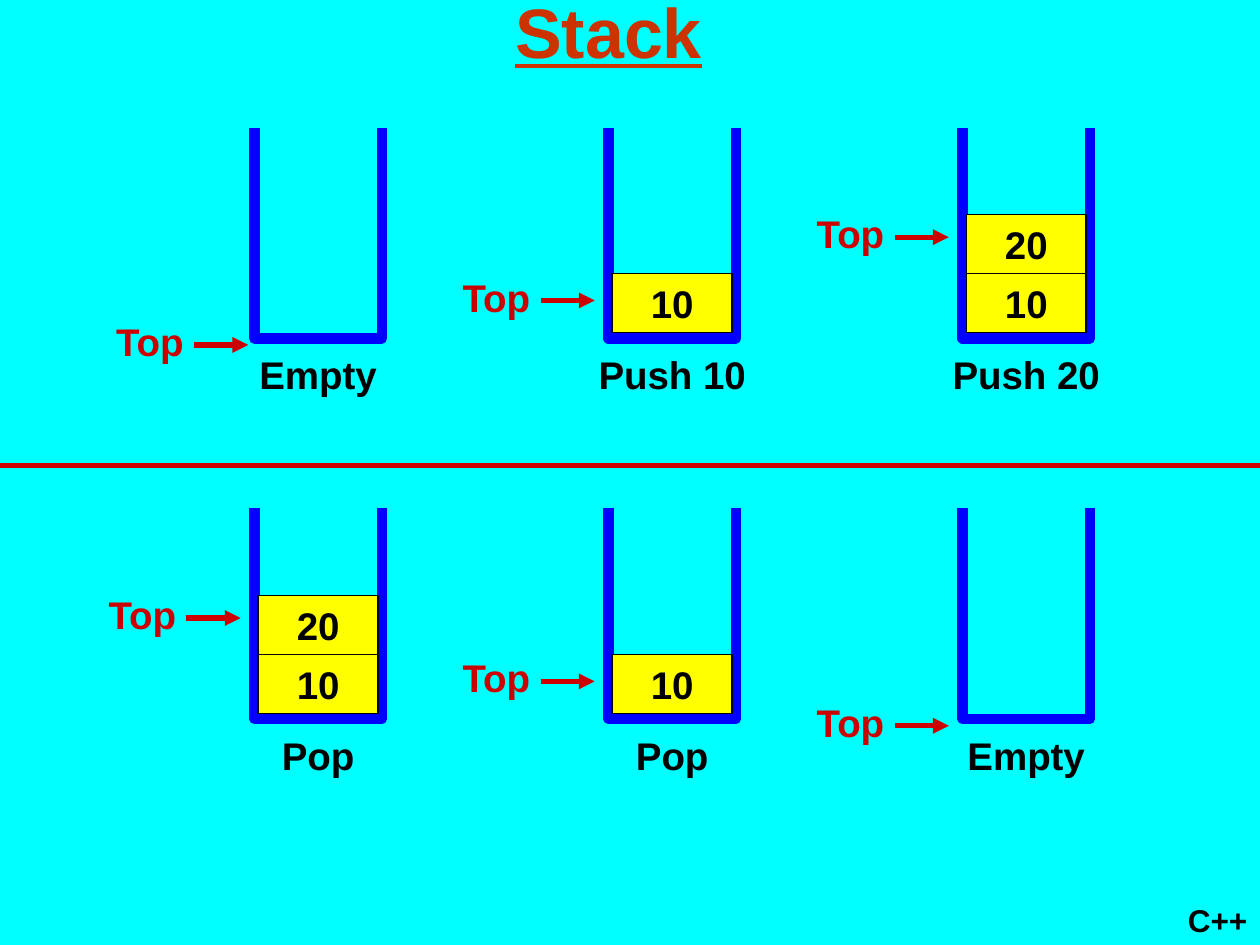
from lxml.etree import SubElement
from pptx import Presentation
from pptx.dml.color import RGBColor
from pptx.enum.shapes import MSO_CONNECTOR, MSO_SHAPE
from pptx.enum.text import MSO_ANCHOR, PP_ALIGN
from pptx.oxml.ns import qn
from pptx.util import Inches, Pt

CYAN = RGBColor(0x00, 0xFF, 0xFF)
BLUE = RGBColor(0x00, 0x00, 0xFF)
RED = RGBColor(0xCC, 0x00, 0x00)
RUST = RGBColor(0xCC, 0x33, 0x00)
YELLOW = RGBColor(0xFF, 0xFF, 0x00)
BLACK = RGBColor(0x00, 0x00, 0x00)

WIDE, HIGH = Inches(10), Inches(7.5)
LEFT, TOP = 0.202 * WIDE, 0.135 * HIGH
COL, ROW = 0.281 * WIDE, 0.403 * HIGH
WALL_W, WALL_H = 0.101 * WIDE, 0.223 * HIGH
ITEM_W, ITEM_H = 0.095 * WIDE, 0.0625 * HIGH
FLOOR = 0.217 * HIGH  # bottom of the lowest item, below the rim
LEVELS = (0.23, 0.183, 0.116)  # pointer below the rim, by number of items
NEAR, FAR = 0.048, 0.054  # pointer start, left of the wall

# column, row, caption, items from the bottom up, pointer gap
STACKS = (
    (0, 0, "Empty", (), NEAR),
    (1, 0, "Push 10", ("10",), FAR),
    (2, 0, "Push 20", ("10", "20"), FAR),
    (0, 1, "Pop", ("10", "20"), FAR),
    (1, 1, "Pop", ("10",), FAR),
    (2, 1, "Empty", (), FAR),
)


def put_text(shape, text, color, align=PP_ALIGN.CENTER, **extra):
    para = shape.text_frame.paragraphs[0]
    para.alignment = align
    run = para.add_run()
    run.text = text
    look = {"name": "Arial", "size": Pt(22), "bold": True, **extra}
    for key, value in look.items():
        setattr(run.font, key, value)
    run.font.color.rgb = color


def add_label(slide, spot, text, color, **extra):
    box = slide.shapes.add_textbox(*map(round, spot))
    box.text_frame.word_wrap = False
    put_text(box, text, color, **extra)


def add_line(slide, start, end, y, arrow=False):
    ends = map(round, (start, y, end, y))
    line = slide.shapes.add_connector(MSO_CONNECTOR.STRAIGHT, *ends)
    line.line.color.rgb = RED
    line.line.width = Pt(3)
    if arrow:
        SubElement(line.line._get_or_add_ln(), qn("a:tailEnd"), type="triangle")
    SubElement(line._element.spPr, qn("a:effectLst"))


def add_walls(slide, x, y):
    pen = slide.shapes.build_freeform(round(x), round(y))
    right, base = round(x + WALL_W), round(y + WALL_H)
    pen.add_line_segments(
        [(round(x), base), (right, base), (right, round(y))], close=False)
    walls = pen.convert_to_shape()
    walls.shadow.inherit = False
    walls.fill.background()
    walls.line.color.rgb = BLUE
    walls.line.width = Pt(6)
    SubElement(walls.line._get_or_add_ln(), qn("a:round"))


def add_item(slide, x, y, text):
    spot = map(round, (x, y, ITEM_W, ITEM_H))
    item = slide.shapes.add_shape(MSO_SHAPE.RECTANGLE, *spot)
    item.shadow.inherit = False
    item.fill.solid()
    item.fill.fore_color.rgb = YELLOW
    item.line.color.rgb = BLACK
    item.line.width = Pt(1)
    item.text_frame.vertical_anchor = MSO_ANCHOR.MIDDLE
    put_text(item, text, BLACK)


def add_top(slide, x, y):
    """Draw the Top label and its arrow, which starts at x, y."""
    spot = (x - 0.073 * WIDE, y - 0.035 * HIGH, 0.076 * WIDE, ITEM_H)
    add_label(slide, spot, "Top", RED)
    add_line(slide, x, x + 0.043 * WIDE, y, arrow=True)


def add_stack(slide, col, row, caption, items, gap):
    x, y = LEFT + col * COL, TOP + row * ROW
    add_walls(slide, x, y)
    inset = (WALL_W - ITEM_W) / 2
    for place, text in enumerate(items, 1):
        add_item(slide, x + inset, y + FLOOR - place * ITEM_H, text)
    wide = 0.137 * WIDE
    spot = (x + (WALL_W - wide) / 2, y + 0.23 * HIGH, wide, ITEM_H)
    add_label(slide, spot, caption, BLACK)
    add_top(slide, x - gap * WIDE, y + LEVELS[len(items)] * HIGH)


def set_title(slide, text):
    title = slide.shapes.title
    place = {"left": 0.058 * WIDE, "top": -0.052 * HIGH,
             "width": 0.85 * WIDE, "height": 0.168 * HIGH}
    for key, value in place.items():
        setattr(title, key, round(value))
    title.text_frame.vertical_anchor = MSO_ANCHOR.MIDDLE
    put_text(title, text, RUST, size=Pt(40), underline=True)


def main():
    deck = Presentation()
    deck.slide_width, deck.slide_height = WIDE, HIGH
    slide = deck.slides.add_slide(deck.slide_layouts.get_by_name("Title Only"))
    slide.background.fill.solid()
    slide.background.fill.fore_color.rgb = CYAN
    set_title(slide, "Stack")
    add_line(slide, 0, WIDE, 0.493 * HIGH)
    for stack in STACKS:
        add_stack(slide, *stack)
    corner = (0.933 * WIDE, 0.947 * HIGH, 0.067 * WIDE, 0.053 * HIGH)
    add_label(slide, corner, "C++", BLACK, align=PP_ALIGN.LEFT, size=Pt(18))
    deck.save("out.pptx")


if __name__ == "__main__":
    main()
